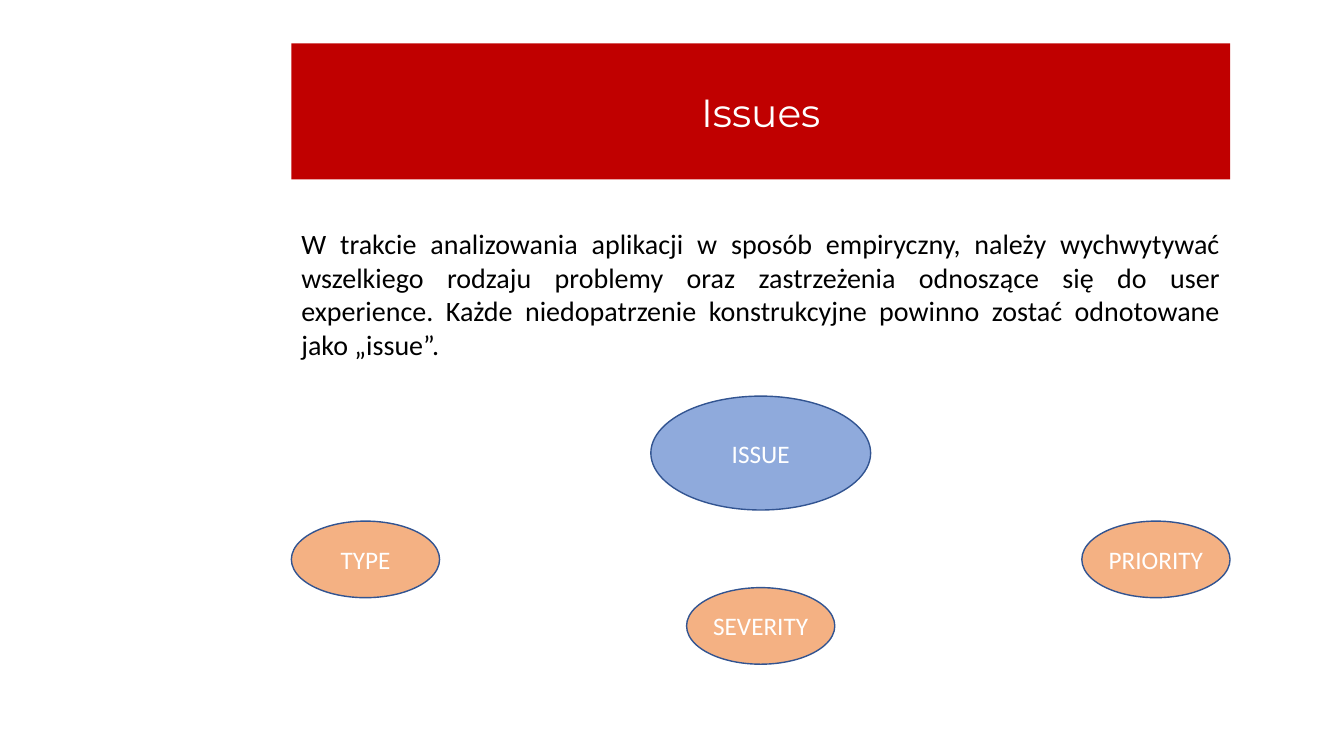
"""Build the Issues slide: a banner, a paragraph and an issue with its three attributes."""
import dataclasses

import pptx
import pptx.dml.color
import pptx.enum.shapes
import pptx.enum.text
import pptx.util

ALIGN = pptx.enum.text.PP_ALIGN
MIDDLE = pptx.enum.text.MSO_ANCHOR.MIDDLE
LEFT, WIDTH = 2.89, 9.31
ISSUE_SIZE = (2.18, 1.13)
ATTRIBUTE_SIZE = (1.47, 0.76)
ATTRIBUTES = [("TYPE", 0, 5.17), ("SEVERITY", 0.5, 5.83), ("PRIORITY", 1, 5.17)]
INTRODUCTION = (
    "W trakcie analizowania aplikacji w sposób empiryczny, należy wychwytywać "
    "wszelkiego rodzaju problemy oraz zastrzeżenia odnoszące się do user experience. "
    "Każde niedopatrzenie konstrukcyjne powinno zostać odnotowane jako „issue”."
)


@dataclasses.dataclass(frozen=True)
class Theme:
    """Colours, fonts and type sizes of the slide."""
    banner: str = "C00000"
    issue: str = "8FAADC"
    attribute: str = "F4B183"
    outline: str = "325491"
    light: str = "FFFFFF"
    dark: str = "000000"
    heading_font: str = "Montserrat"
    body_font: str = "Calibri"
    heading_size: int = 28
    body_size: int = 20
    label_size: int = 18


THEME = Theme()


def rgb(value):
    """Turn a hex string into a colour."""
    return pptx.dml.color.RGBColor.from_string(value)


def inches(*lengths):
    """Turn numbers into lengths in inches."""
    return [pptx.util.Inches(length) for length in lengths]


def paint(shape, colour):
    """Give a shape a solid fill."""
    shape.fill.solid()
    shape.fill.fore_color.rgb = rgb(colour)


def write(shape, text, font, size, colour, align):
    """Write one formatted paragraph into a shape."""
    shape.text_frame.text = text
    para = shape.text_frame.paragraphs[0]
    para.alignment = align
    span = para.runs[0]
    span.font.name = font
    span.font.size = pptx.util.Pt(size)
    span.font.color.rgb = rgb(colour)


def add_banner(page, text):
    """Turn the title placeholder into the coloured banner."""
    title = page.shapes.title
    title.left, title.top, title.width, title.height = inches(LEFT, 0.43, WIDTH, 1.35)
    paint(title, THEME.banner)
    title.text_frame.auto_size = pptx.enum.text.MSO_AUTO_SIZE.NONE
    title.text_frame.vertical_anchor = MIDDLE
    write(title, text, THEME.heading_font, THEME.heading_size, THEME.light, ALIGN.CENTER)


def add_paragraph(page, text):
    """Add the justified paragraph below the banner."""
    box = page.shapes.add_textbox(*inches(LEFT, 2.2, WIDTH, 1.45))
    box.text_frame.word_wrap = True
    write(box, text, THEME.body_font, THEME.body_size, THEME.dark, ALIGN.JUSTIFY)


def add_ellipse(page, text, share, top, size, colour):
    """Add a labelled ellipse at a share of the free width of the content column."""
    width, height = size
    left = LEFT + share * (WIDTH - width)
    ellipse = page.shapes.add_shape(
        pptx.enum.shapes.MSO_SHAPE.OVAL, *inches(left, top, width, height))
    ellipse.shadow.inherit = False
    paint(ellipse, colour)
    ellipse.line.color.rgb = rgb(THEME.outline)
    ellipse.line.width = pptx.util.Pt(1)
    frame = ellipse.text_frame
    frame.margin_left = frame.margin_right = frame.margin_top = frame.margin_bottom = 0
    frame.vertical_anchor = MIDDLE
    frame.word_wrap = False
    write(ellipse, text, THEME.body_font, THEME.label_size, THEME.light, ALIGN.CENTER)


def main():
    """Build and save the deck."""
    deck = pptx.Presentation()
    deck.slide_width, deck.slide_height = inches(13.33, 7.5)
    page = deck.slides.add_slide(deck.slide_layouts.get_by_name("Title Only"))
    add_banner(page, "Issues")
    add_paragraph(page, INTRODUCTION)
    add_ellipse(page, "ISSUE", 0.5, 3.93, ISSUE_SIZE, THEME.issue)
    for text, share, top in ATTRIBUTES:
        add_ellipse(page, text, share, top, ATTRIBUTE_SIZE, THEME.attribute)
    deck.save("out.pptx")


main()
